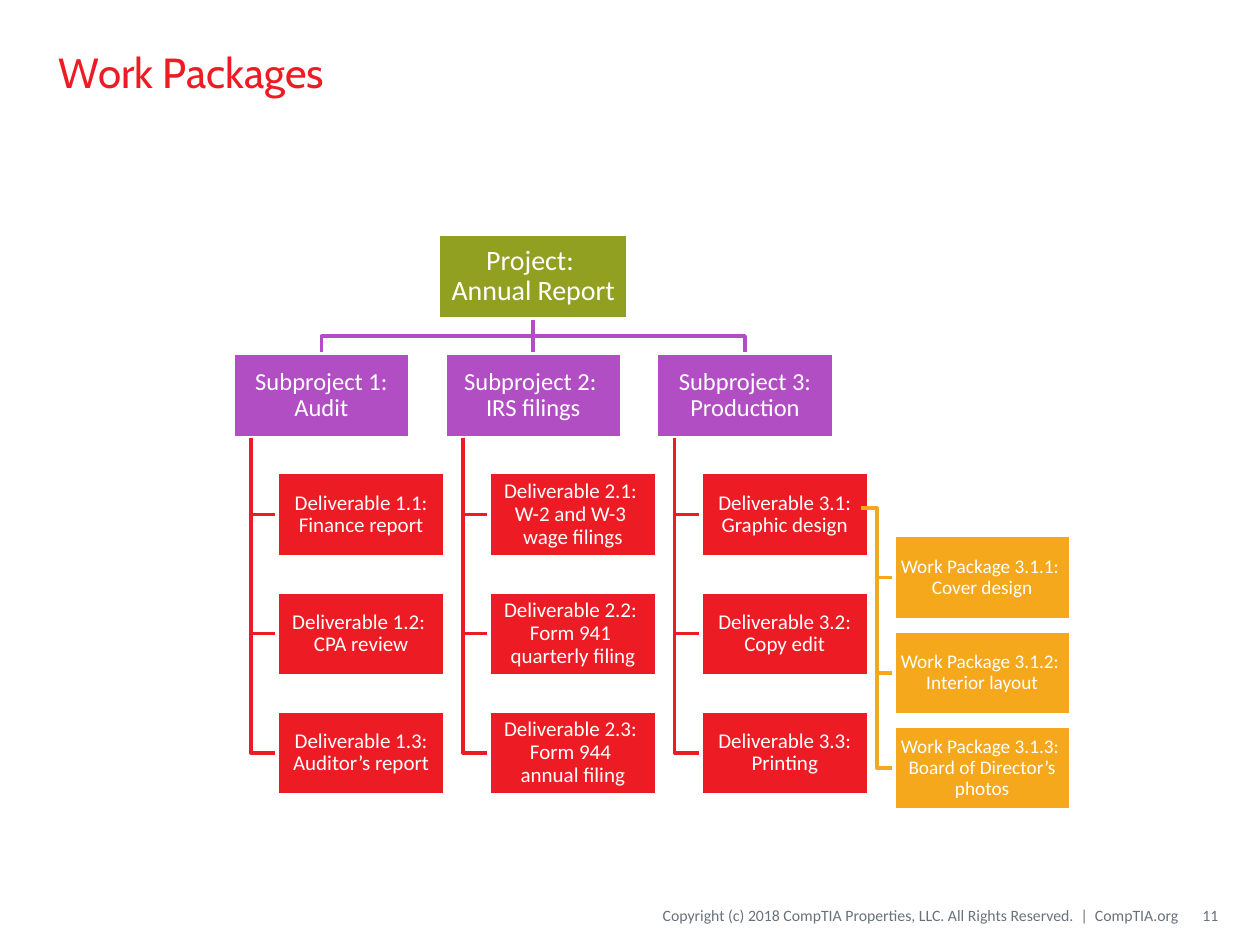
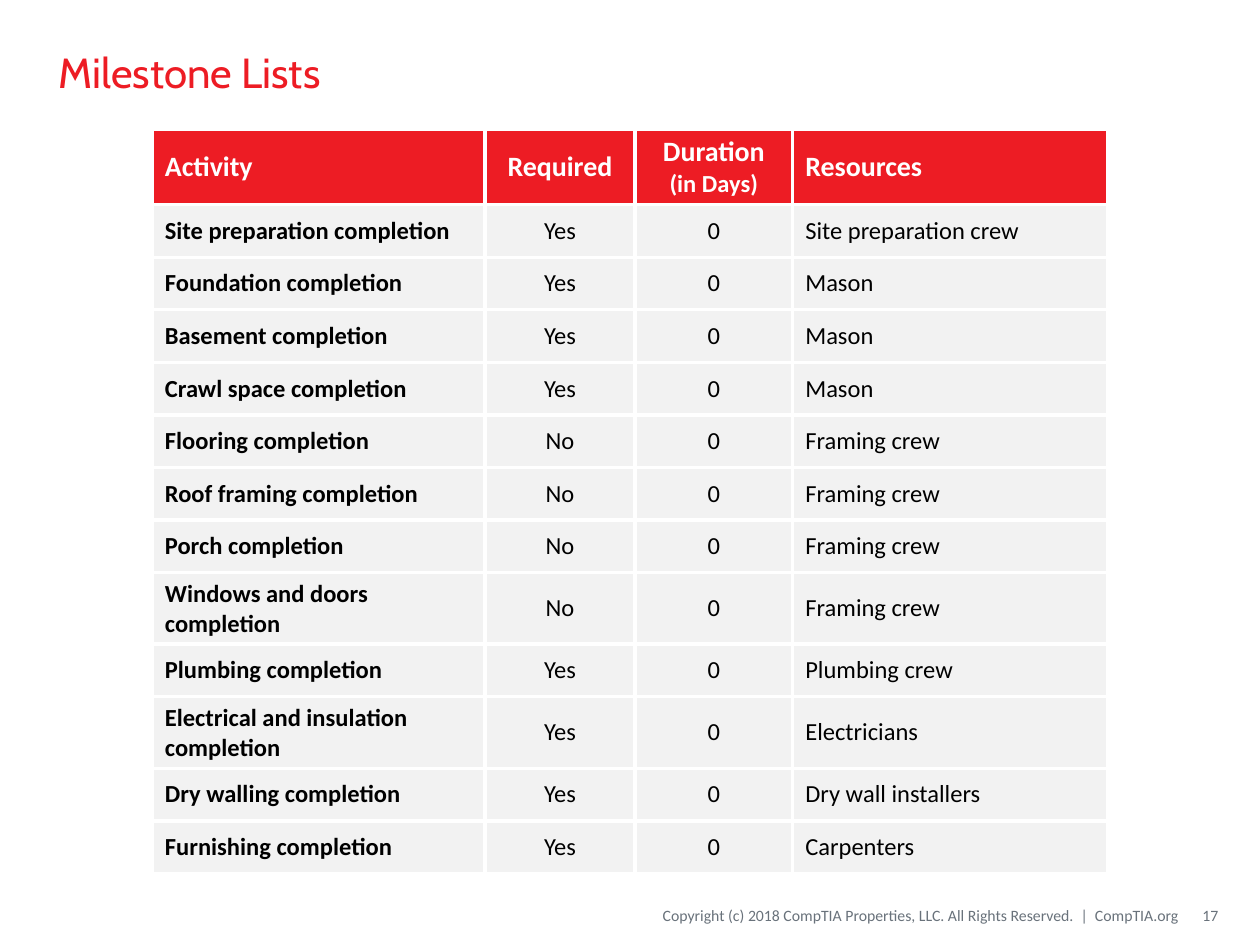
from lxml import etree
from pptx import Presentation
from pptx.dml.color import RGBColor
from pptx.enum.shapes import MSO_CONNECTOR, MSO_SHAPE
from pptx.enum.text import MSO_ANCHOR, PP_ALIGN
from pptx.oxml.ns import qn
from pptx.util import Cm, Pt

RECT = MSO_SHAPE.RECTANGLE
STRAIGHT = MSO_CONNECTOR.STRAIGHT
MIDDLE = MSO_ANCHOR.MIDDLE
LEFT, CENTER, RIGHT = PP_ALIGN.LEFT, PP_ALIGN.CENTER, PP_ALIGN.RIGHT

RED = RGBColor(0xED, 0x1C, 0x24)
GREEN = RGBColor(0x92, 0xA0, 0x22)
PURPLE = RGBColor(0xB2, 0x4E, 0xC3)
ORANGE = RGBColor(0xF5, 0xA8, 0x1C)
GRAY = RGBColor(0x69, 0x72, 0x7B)
PALE = RGBColor(0xF2, 0xF2, 0xF2)
WHITE = RGBColor(0xFF, 0xFF, 0xFF)
BLACK = RGBColor(0, 0, 0)

HEAD_FONT, BODY_FONT = "Cabin", "Calibri"
LEGAL = ("Copyright (c) 2018 CompTIA Properties, LLC. "
         "All Rights Reserved.  |  CompTIA.org")

STROKE = Pt(2)
BOX_H = 1.69
TOP, ROW_STEP = 4.73, 2.4
SUB_X, SUB_STEP, SUB_W = 4.7, 4.27, 3.56
ITEM_IN, ITEM_W = 0.89, 3.38
TRUNK_IN = 0.36
ROOT_W = 3.81
PACK_X, PACK_Y, PACK_STEP = 18.02, 10.8, 1.92
PACK_TRUNK = 17.68

BRANCHES = [
    ("Subproject 1: Audit",
     ["Deliverable 1.1: Finance report",
      "Deliverable 1.2: \nCPA review",
      "Deliverable 1.3: Auditor’s report"]),
    ("Subproject 2: \nIRS filings",
     ["Deliverable 2.1: \nW-2 and W-3 \nwage filings",
      "Deliverable 2.2: \nForm 941 \nquarterly filing",
      "Deliverable 2.3: \nForm 944 \nannual filing"]),
    ("Subproject 3: Production",
     ["Deliverable 3.1: Graphic design",
      "Deliverable 3.2: Copy edit",
      "Deliverable 3.3: Printing"]),
]
PACKS = ["Work Package 3.1.1: \nCover design",
         "Work Package 3.1.2: \nInterior layout",
         "Work Package 3.1.3: \nBoard of Director’s photos"]

COLS = [6.71, 3.02, 3.18, 6.35]
ALIGNS = [LEFT, CENTER, CENTER, LEFT]
HEADS = ["Activity", "Required", "Duration ", "Resources"]
STEPS = [
    ("Site preparation", "Yes", "Site preparation crew"),
    ("Foundation", "Yes", "Mason"),
    ("Basement", "Yes", "Mason"),
    ("Crawl space", "Yes", "Mason"),
    ("Flooring", "No", "Framing crew"),
    ("Roof framing", "No", "Framing crew"),
    ("Porch", "No", "Framing crew"),
    ("Windows and doors", "No", "Framing crew"),
    ("Plumbing", "Yes", "Plumbing crew"),
    ("Electrical and insulation", "Yes", "Electricians"),
    ("Dry walling", "Yes", "Dry wall installers"),
    ("Furnishing", "Yes", "Carpenters"),
]


def write(frame, text, size, color, align=LEFT, font=BODY_FONT, bold=False):
    para = frame.paragraphs[0]
    para.text = text
    para.alignment = align
    para.font.name = font
    para.font.size = Pt(size)
    para.font.bold = bold
    para.font.color.rgb = color
    return para


def label(slide, text, area, size, color, align=LEFT, font=BODY_FONT, pad=None):
    frame = slide.shapes.add_textbox(*map(Cm, area)).text_frame
    frame.word_wrap = True
    frame.vertical_anchor = MIDDLE
    if pad is not None:
        frame.margin_left, frame.margin_right = Cm(pad), 0
    write(frame, text, size, color, align, font)


def new_slide(deck, title, number):
    slide = deck.slides.add_slide(deck.slide_layouts[6])
    label(slide, LEGAL, (9.86, 18.08, 13.89, 0.76), 9, GRAY, RIGHT, pad=0)
    label(slide, title, (0.94, 0.28, 23.5, 2.34), 24, RED, font=HEAD_FONT)
    label(slide, number, (23.82, 18.08, 0.74, 0.76), 9, GRAY, RIGHT, pad=0.25)
    return slide


def box(slide, text, x, y, width, color, size):
    shape = slide.shapes.add_shape(RECT, Cm(x), Cm(y), Cm(width), Cm(BOX_H))
    shape.shadow.inherit = False
    shape.fill.solid()
    shape.fill.fore_color.rgb = color
    shape.line.color.rgb = WHITE
    shape.line.width = STROKE
    frame = shape.text_frame
    frame.word_wrap = True
    frame.vertical_anchor = MIDDLE
    frame.margin_left = frame.margin_right = Cm(0.02)
    frame.margin_top = frame.margin_bottom = Cm(0.02)
    write(frame, text, size, WHITE, CENTER).line_spacing = 0.9
    return shape


def elbow(slide, points, color):
    first, *rest = [(Cm(x), Cm(y)) for x, y in points]
    pen = slide.shapes.build_freeform(*first)
    pen.add_line_segments(rest, close=False)
    shape = pen.convert_to_shape()
    shape.shadow.inherit = False
    shape.fill.background()
    shape.line.color.rgb = color
    shape.line.width = STROKE


def stem(slide, x, start, end, color):
    line = slide.shapes.add_connector(STRAIGHT, Cm(x), Cm(start), Cm(x), Cm(end))
    line.line.color.rgb = color
    line.line.width = STROKE
    etree.SubElement(line._element.spPr, qn("a:effectLst"))
    return line


def row_top(row):
    return TOP + row * ROW_STEP


def draw_branch(slide, x, name, items):
    sub = box(slide, name, x, row_top(1), SUB_W, PURPLE, 14)
    trunk, left = x + TRUNK_IN, x + ITEM_IN
    for row, item in enumerate(items, 2):
        mid = row_top(row) + BOX_H / 2
        elbow(slide, [(trunk, row_top(1) + BOX_H), (trunk, mid), (left, mid)], RED)
        box(slide, item, left, row_top(row), ITEM_W, RED, 12)
    return sub


def draw_packs(slide):
    for row, text in enumerate(PACKS):
        top = PACK_Y + row * PACK_STEP
        mid = top + BOX_H / 2
        elbow(slide, [(17.35, 10.24), (PACK_TRUNK, 10.24),
                      (PACK_TRUNK, mid), (PACK_X, mid)], ORANGE)
        box(slide, text, PACK_X, top, SUB_W, ORANGE, 11)


def draw_tree(slide):
    lefts = [SUB_X + col * SUB_STEP for col in range(len(BRANCHES))]
    mids = [x + SUB_W / 2 for x in lefts]
    center, base, below = mids[1], row_top(0) + BOX_H, row_top(1)
    fork = (base + below) / 2
    for mid in (mids[0], mids[2]):
        elbow(slide, [(center, base), (center, fork), (mid, fork), (mid, below)],
              PURPLE)
    link = stem(slide, center, base, below, PURPLE)
    root = box(slide, "Project: \nAnnual Report", center - ROOT_W / 2, TOP,
               ROOT_W, GREEN, 16)
    subs = [draw_branch(slide, x, *branch) for x, branch in zip(lefts, BRANCHES)]
    link.begin_connect(root, 2)
    link.end_connect(subs[1], 0)
    draw_packs(slide)


def edge(cell):
    props = cell._tc.get_or_add_tcPr()
    for side in ("lnL", "lnR", "lnT", "lnB"):
        line = etree.SubElement(props, qn("a:" + side), w=str(Pt(2.25)))
        fill = etree.SubElement(line, qn("a:solidFill"))
        etree.SubElement(fill, qn("a:srgbClr"), val=str(WHITE))


def fill_cell(cell, text, align, size, color, back, bold):
    edge(cell)
    cell.fill.solid()
    cell.fill.fore_color.rgb = back
    cell.vertical_anchor = MIDDLE
    return write(cell.text_frame, text, size, color, align, bold=bold)


def draw_table(slide):
    rows = [(name + " completion", need, "0", crew) for name, need, crew in STEPS]
    table = slide.shapes.add_table(len(rows) + 1, len(COLS), Cm(3.07), Cm(2.6),
                                   Cm(sum(COLS)), Cm(14)).table
    table.first_row = table.horz_banding = False
    for col, width in zip(table.columns, COLS):
        col.width = Cm(width)
    for row in table.rows:
        row.height = Cm(1.06)
    table.rows[0].height = Cm(1.27)
    heads = [fill_cell(table.cell(0, col), text, ALIGNS[col], 16, WHITE, RED, True)
             for col, text in enumerate(HEADS)]
    unit = heads[2].add_run()
    unit.text = "(in Days)"
    unit.font.size = Pt(14)
    for row, values in enumerate(rows, 1):
        for col, text in enumerate(values):
            fill_cell(table.cell(row, col), text, ALIGNS[col], 14, BLACK, PALE,
                      col == 0)


def main():
    deck = Presentation()
    deck.slide_width, deck.slide_height = Cm(25.4), Cm(19.05)
    draw_tree(new_slide(deck, "Work Packages", "11"))
    draw_table(new_slide(deck, "Milestone Lists", "17"))
    deck.save("out.pptx")


if __name__ == "__main__":
    main()
